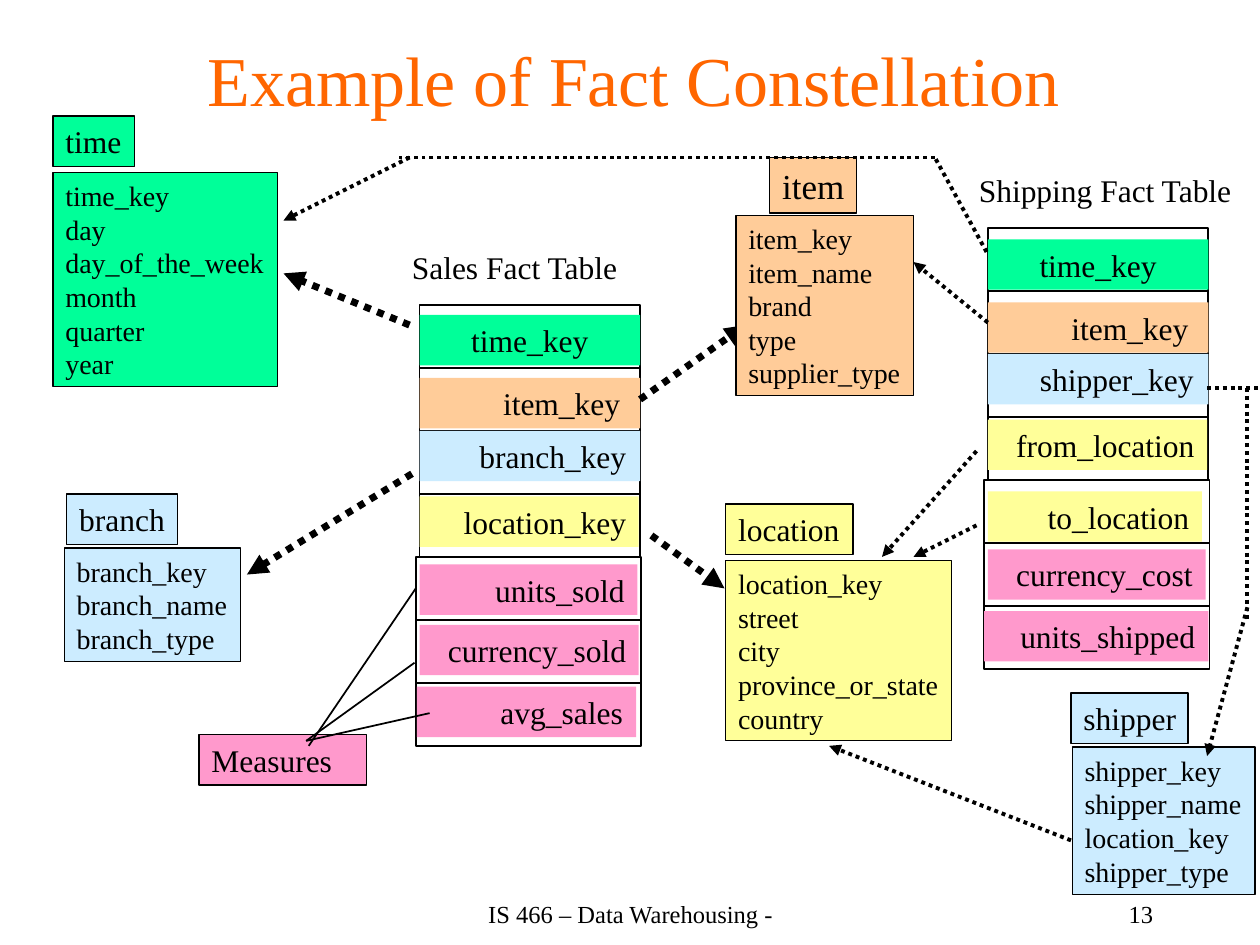
from dataclasses import dataclass

from lxml import etree
from pptx import Presentation
from pptx import util as u
from pptx.dml.color import RGBColor
from pptx.enum import dml, shapes, text
from pptx.oxml import ns

FONT = "Times New Roman"
BLACK = RGBColor(0x00, 0x00, 0x00)
ORANGE = RGBColor(0xFF, 0x66, 0x00)
GREEN = RGBColor(0x00, 0xFF, 0x99)
PEACH = RGBColor(0xFF, 0xCC, 0x99)
BLUE = RGBColor(0xCC, 0xEC, 0xFF)
YELLOW = RGBColor(0xFF, 0xFF, 0x99)
PINK = RGBColor(0xFF, 0x99, 0xCC)

LEFT, CENTER, RIGHT = text.PP_ALIGN.LEFT, text.PP_ALIGN.CENTER, text.PP_ALIGN.RIGHT
TOP, MIDDLE = text.MSO_ANCHOR.TOP, text.MSO_ANCHOR.MIDDLE
ROW_STEP = 0.5
SPACE = 0.0625


@dataclass
class Entity:
    name: str
    label: tuple
    box: tuple
    color: RGBColor
    fields: list
    label_size: int = 18


@dataclass
class Row:
    name: str
    color: RGBColor
    dy: float
    indent: int = 0
    width: float = 1.75
    dx: float = 0
    wide: bool = False
    align: int = LEFT


@dataclass
class Link:
    start: tuple
    end: tuple
    width: float = 2.25
    dotted: bool = True
    arrow: bool = True
    begin_at: tuple = None
    end_at: tuple = None


def inches(values) -> list:
    return [u.Inches(v) for v in values]


def write(tf, lines, size, color=BLACK, align=LEFT, anchor=TOP, indent=0) -> None:
    tf.word_wrap = True
    tf.vertical_anchor = anchor
    tf.margin_left = u.Inches(0.1 + indent * SPACE)
    tf.margin_right = u.Inches(0 if align == LEFT else 0.1)
    tf.margin_top = tf.margin_bottom = u.Inches(0.05)
    for i, line in enumerate(lines):
        p = tf.paragraphs[0] if i == 0 else tf.add_paragraph()
        p.alignment = align
        r = p.add_run()
        r.text = line
        r.font.name, r.font.size = FONT, u.Pt(size)
        r.font.color.rgb = color


def add_box(parent, at, fill=None, line=None):
    sp = parent.add_shape(shapes.MSO_SHAPE.RECTANGLE, *inches(at))
    sp.shadow.inherit = False
    if fill is None:
        sp.fill.background()
    else:
        sp.fill.solid()
        sp.fill.fore_color.rgb = fill
    if line is None:
        sp.line.fill.background()
    else:
        sp.line.color.rgb, sp.line.width = BLACK, u.Pt(line)
    return sp


def add_label(s, content, at, size, align=LEFT, anchor=TOP) -> None:
    tb = s.shapes.add_textbox(*inches(at))
    write(tb.text_frame, [content], size, align=align, anchor=anchor)


def add_entity(s, e: Entity) -> None:
    group = s.shapes.add_group_shape().shapes
    write(add_box(group, e.box, e.color, 0.75).text_frame, e.fields, 16)
    write(add_box(group, e.label, e.color, 0.75).text_frame, [e.name],
          e.label_size, anchor=MIDDLE)


def add_fact_table(s, left: float, top: float, rows: list) -> dict:
    frames = {}
    for i, row in enumerate(rows):
        y = top + i * ROW_STEP
        x, w = (left - 0.03, 1.79) if row.wide else (left, 1.75)
        frames[row.name] = add_box(s.shapes, (x, y, w, ROW_STEP), line=1)
        sp = add_box(s.shapes, (left + row.dx, y + row.dy, row.width, 0.4), row.color)
        write(sp.text_frame, [row.name], 18, align=row.align, indent=row.indent)
    return frames


def add_link(s, link: Link) -> None:
    c = s.shapes.add_connector(shapes.MSO_CONNECTOR.STRAIGHT,
                               *inches(link.start + link.end))
    if link.begin_at:
        c.begin_connect(*link.begin_at)
    if link.end_at:
        c.end_connect(*link.end_at)
    c.line.color.rgb, c.line.width = BLACK, u.Pt(link.width)
    if link.dotted:
        c.line.dash_style = dml.MSO_LINE.ROUND_DOT
    if link.arrow:
        etree.SubElement(c.line._get_or_add_ln(), ns.qn("a:tailEnd"), type="triangle")
    etree.SubElement(c._element.spPr, ns.qn("a:effectLst"))


SALES_ROWS = [
    Row("time_key", GREEN, 0.08, align=CENTER),
    Row("item_key", PEACH, 0.08, 9),
    Row("branch_key", BLUE, 0, 6),
    Row("location_key", YELLOW, 0.02, 4, 1.74),
    Row("units_sold", PINK, 0.06, 8, 1.73, wide=True),
    Row("currency_sold", PINK, 0.04, 2, 1.74, wide=True),
    Row("avg_sales", PINK, 0.03, 9, 1.74, -0.02, wide=True),
]
SHIPPING_ROWS = [
    Row("time_key", GREEN, 0.09, align=CENTER),
    Row("item_key", PEACH, 0.09, 9),
    Row("shipper_key", BLUE, 0, 5),
    Row("from_location", YELLOW, 0.02, 2, 1.74),
    Row("to_location", YELLOW, 0.09, 6, 1.7, wide=True),
    Row("currency_cost", PINK, 0.05, 2, 1.73, wide=True),
    Row("units_shipped", PINK, 0.04, 3, 1.78, -0.03, wide=True),
]
TIME = Entity("time", (0.42, 0.92, 0.65, 0.4), (0.42, 1.37, 1.78, 1.7), GREEN,
              ["time_key", "day", "day_of_the_week", "month", "quarter", "year"])
LOCATION = Entity("location", (5.76, 4, 1.01, 0.4), (5.76, 4.45, 1.79, 1.43), YELLOW,
                  ["location_key", "street", "city", "province_or_state", "country"])
ITEM = Entity("item", (6.11, 1.25, 0.69, 0.44), (5.84, 1.71, 1.41, 1.43), PEACH,
              ["item_key", "item_name", "brand", "type", "supplier_type"], 20)
BRANCH = Entity("branch", (0.53, 3.92, 0.88, 0.4), (0.51, 4.35, 1.4, 0.9), BLUE,
                ["branch_key", "branch_name", "branch_type"])
SHIPPER = Entity("shipper", (8.5, 5.5, 0.93, 0.4), (8.51, 5.93, 1.45, 1.17), BLUE,
                 ["shipper_key", "shipper_name", "location_key", "shipper_type"])


def main() -> None:
    prs = Presentation()
    prs.slide_width, prs.slide_height = inches((10, 7.5))
    s = prs.slides.add_slide(prs.slide_layouts[5])
    title = s.shapes.title
    title.left, title.top, title.width, title.height = inches((1.5, 0, 7.06, 1.25))
    write(title.text_frame, ["Example of Fact Constellation"], 40, ORANGE, CENTER, MIDDLE)

    add_entity(s, TIME)
    add_entity(s, LOCATION)
    add_label(s, "Sales Fact Table", (3.17, 1.92, 1.85, 0.4), 18)
    sales = add_fact_table(s, 3.33, 2.42, SALES_ROWS)
    measures = add_box(s.shapes, (1.58, 5.83, 1.33, 0.4), PINK, 0.75)
    write(measures.text_frame, ["Measures"], 18)
    for link in (
        Link((2.45, 5.92), (3.3, 4.67), 1, False, False, end_at=(sales["units_sold"], 1)),
        Link((2.43, 5.88), (3.29, 5.26), 1, False, False),
        Link((2.43, 5.88), (3.41, 5.66), 1, False, False),
        Link((3.27, 3.76), (1.96, 4.56), 4),
        Link((3.25, 2.58), (2.25, 2.17), 4),
        Link((5.17, 4.25), (5.75, 4.67), 4),
        Link((5.08, 3.17), (5.92, 2.58), 4, begin_at=(sales["item_key"], 3)),
    ):
        add_link(s, link)

    add_entity(s, ITEM)
    add_entity(s, BRANCH)
    add_label(s, "Shipping Fact Table", (7.67, 1.31, 2.23, 0.4), 18)
    shipping = add_fact_table(s, 7.84, 1.81, SHIPPING_ROWS)
    add_entity(s, SHIPPER)
    for link in (
        Link((7.83, 2), (7.42, 1.25), arrow=False),
        Link((7.42, 1.25), (3.17, 1.25), arrow=False),
        Link((3.25, 1.25), (2.25, 1.75)),
        Link((7.84, 2.56), (7.25, 2.08), begin_at=(shipping["item_key"], 1)),
        Link((7.75, 3.58), (7, 4.42)),
        Link((7.75, 4.17), (7.25, 4.42)),
        Link((9.58, 3.08), (10, 3.08), arrow=False),
        Link((9.9, 3.08), (9.9, 4.92), arrow=False),
        Link((9.9, 4.82), (9.58, 6)),
        Link((8.5, 6.67), (6.58, 5.92)),
    ):
        add_link(s, link)

    add_label(s, "IS 466 – Data Warehousing -", (3.42, 7, 3.17, 0.5), 14, CENTER, MIDDLE)
    add_label(s, "13", (7.17, 7, 2.08, 0.5), 14, RIGHT, MIDDLE)
    prs.save("out.pptx")


if __name__ == "__main__":
    main()
